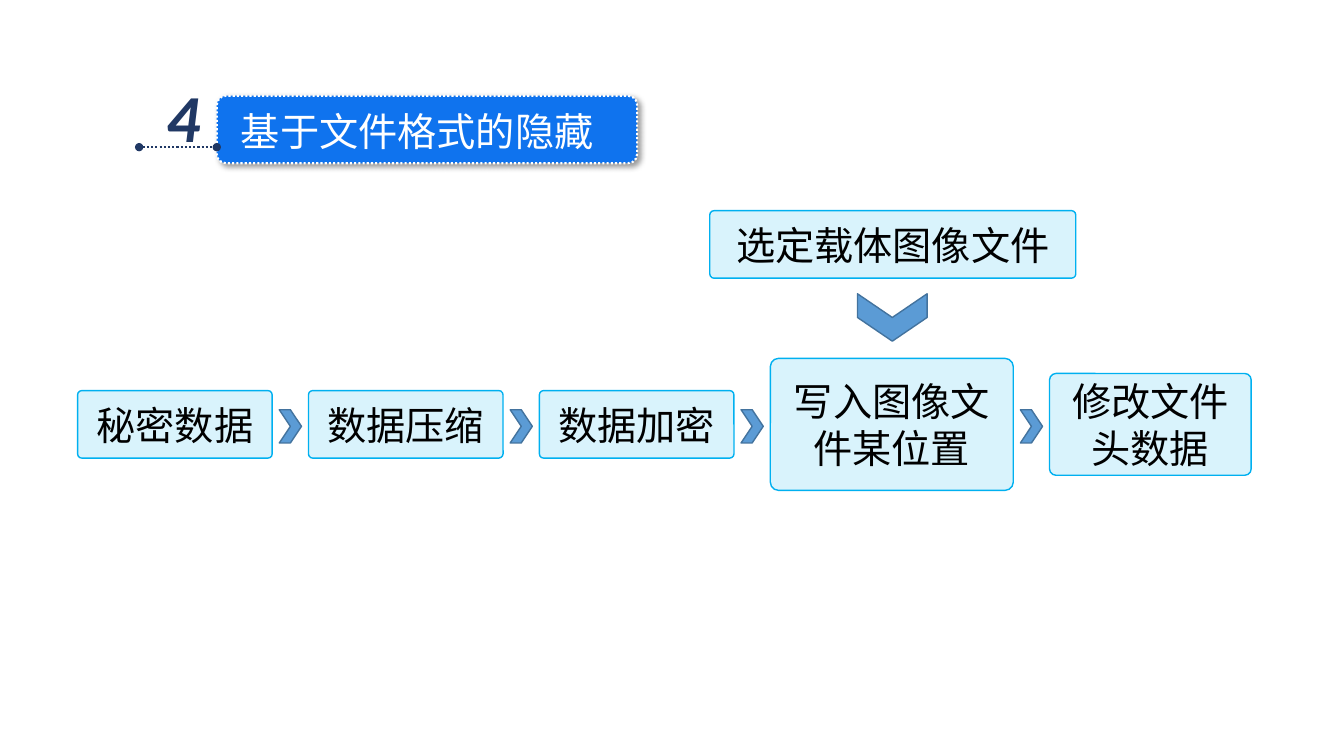
from lxml import etree
from pptx import Presentation
from pptx.dml.color import RGBColor
from pptx.enum.dml import MSO_LINE
from pptx.enum.shapes import MSO_CONNECTOR, MSO_SHAPE
from pptx.enum.text import MSO_ANCHOR, MSO_AUTO_SIZE, PP_ALIGN
from pptx.oxml.ns import qn
from pptx.util import Inches, Pt

ROUNDED, CHEVRON = MSO_SHAPE.ROUNDED_RECTANGLE, MSO_SHAPE.CHEVRON
STRAIGHT = MSO_CONNECTOR.STRAIGHT
DOTTED = MSO_LINE.ROUND_DOT
CENTER, LEFT = PP_ALIGN.CENTER, PP_ALIGN.LEFT
MIDDLE, TOP = MSO_ANCHOR.MIDDLE, MSO_ANCHOR.TOP
NO_AUTOFIT = MSO_AUTO_SIZE.NONE

LATIN_FONT, CHINESE_FONT = "Calibri", "Noto Sans CJK SC"
NAVY, BLUE, CYAN, WHITE, BLACK = "203864", "0F73EE", "00B0F0", "FFFFFF", "000000"
ARROW_FILL, ARROW_LINE = "5B9BD5", "43739E"

ROW_CENTER = 4.21
ROW_LEFT = 0.77
STEP_GAP = 0.36
STEPS = [
    ("秘密数据", 1.93, 0.67),
    ("数据压缩", 1.93, 0.67),
    ("数据加密", 1.93, 0.67),
    ("写入图像文件某位置", 2.41, 1.31),
    ("修改文件头数据", 2.0, 1.01),
]


def color(hex_value):
    return RGBColor.from_string(hex_value)


def add_child(parent, tag, **attributes):
    return etree.SubElement(parent, qn(tag), attributes)


def write_text(shape, text, text_color, align=LEFT, anchor=TOP, wrap=True,
               latin=LATIN_FONT, **font_values):
    frame = shape.text_frame
    frame_values = {"word_wrap": wrap, "auto_size": NO_AUTOFIT, "vertical_anchor": anchor}
    for name, value in frame_values.items():
        setattr(frame, name, value)
    para = frame.paragraphs[0]
    para.alignment = align
    span = para.add_run()
    span.text = text
    for name, value in {"name": latin, "size": Pt(28), **font_values}.items():
        setattr(span.font, name, value)
    span.font.color.rgb = color(text_color)
    add_child(span.font._element, "a:ea", typeface=CHINESE_FONT)


def add_block(slide, preset, place, fill, line, width=1):
    """Add a filled preset shape with an outline and no shadow."""
    block = slide.shapes.add_shape(preset, *map(Inches, place))
    block.shadow.inherit = False
    block.fill.solid()
    block.fill.fore_color.rgb = color(fill)
    block.line.color.rgb = color(line)
    block.line.width = Pt(width)
    return block


def add_step(slide, text, place):
    step = add_block(slide, ROUNDED, place, CYAN, CYAN)
    step.adjustments[0] = 0.063
    fill_color = step._element.spPr.find(qn("a:solidFill"))[0]
    add_child(fill_color, "a:alpha", val="15000")
    write_text(step, text, BLACK, CENTER, MIDDLE)


def add_arrow(slide, center_x, center_y, length, breadth, rotation=0):
    place = (center_x - length / 2, center_y - breadth / 2, length, breadth)
    arrow = add_block(slide, CHEVRON, place, ARROW_FILL, ARROW_LINE)
    arrow.rotation = rotation


def add_banner(slide):
    banner = add_block(slide, ROUNDED, (2.15, 0.95, 4.17, 0.67), BLUE, WHITE, 1.5)
    banner.adjustments[0] = 0.137
    banner.line.dash_style = DOTTED
    effects = banner._element.spPr.find(qn("a:effectLst"))
    shadow = add_child(effects, "a:outerShdw", blurRad=str(Pt(4)), dist=str(Pt(3)),
                       dir="2700000", algn="tl", rotWithShape="0")
    shadow_color = add_child(shadow, "a:srgbClr", val=BLACK)
    add_child(shadow_color, "a:alpha", val="40000")


def place_title(slide, text):
    title = slide.shapes.title
    place = {"left": 2.29, "top": 1.01, "width": 3.74, "height": 0.57}
    for name, value in place.items():
        setattr(title, name, Inches(value))
    write_text(title, text, WHITE, wrap=False, latin=CHINESE_FONT)
    slide.shapes._spTree.append(title._element)  # bring in front of the banner


def add_number(slide, text):
    box = slide.shapes.add_textbox(*map(Inches, (1.55, 0.7, 0.54, 0.91)))
    write_text(box, text, NAVY, wrap=False, size=Pt(48), bold=True, italic=True)


def add_dotted_line(slide, start, end):
    line = slide.shapes.add_connector(STRAIGHT, *map(Inches, start + end))
    line.line.color.rgb = color(NAVY)
    line.line.width = Pt(1.5)
    line.line.dash_style = DOTTED
    outline = line.line._get_or_add_ln()
    for tag in ("a:headEnd", "a:tailEnd"):
        add_child(outline, tag, type="oval")
    add_child(line._element.spPr, "a:effectLst")


def add_process(slide):
    """Lay out the steps in a row with an arrow centred in each gap."""
    left = ROW_LEFT
    for index, (text, width, height) in enumerate(STEPS):
        if index:
            add_arrow(slide, left - STEP_GAP / 2, ROW_CENTER + 0.02, 0.22, 0.33)
        add_step(slide, text, (left, ROW_CENTER - height / 2, width, height))
        left += width + STEP_GAP


def main():
    deck = Presentation()
    deck.slide_width, deck.slide_height = Inches(13.33), Inches(7.5)
    slide = deck.slides.add_slide(deck.slide_layouts[5])
    add_banner(slide)
    place_title(slide, "基于文件格式的隐藏")
    add_number(slide, "4")
    add_dotted_line(slide, (1.38, 1.46), (2.15, 1.46))
    add_process(slide)
    add_step(slide, "选定载体图像文件", (7.04, 2.09, 3.63, 0.67))
    add_arrow(slide, 8.85, 3.15, 0.47, 0.69, rotation=90)
    deck.save("out.pptx")


if __name__ == "__main__":
    main()
